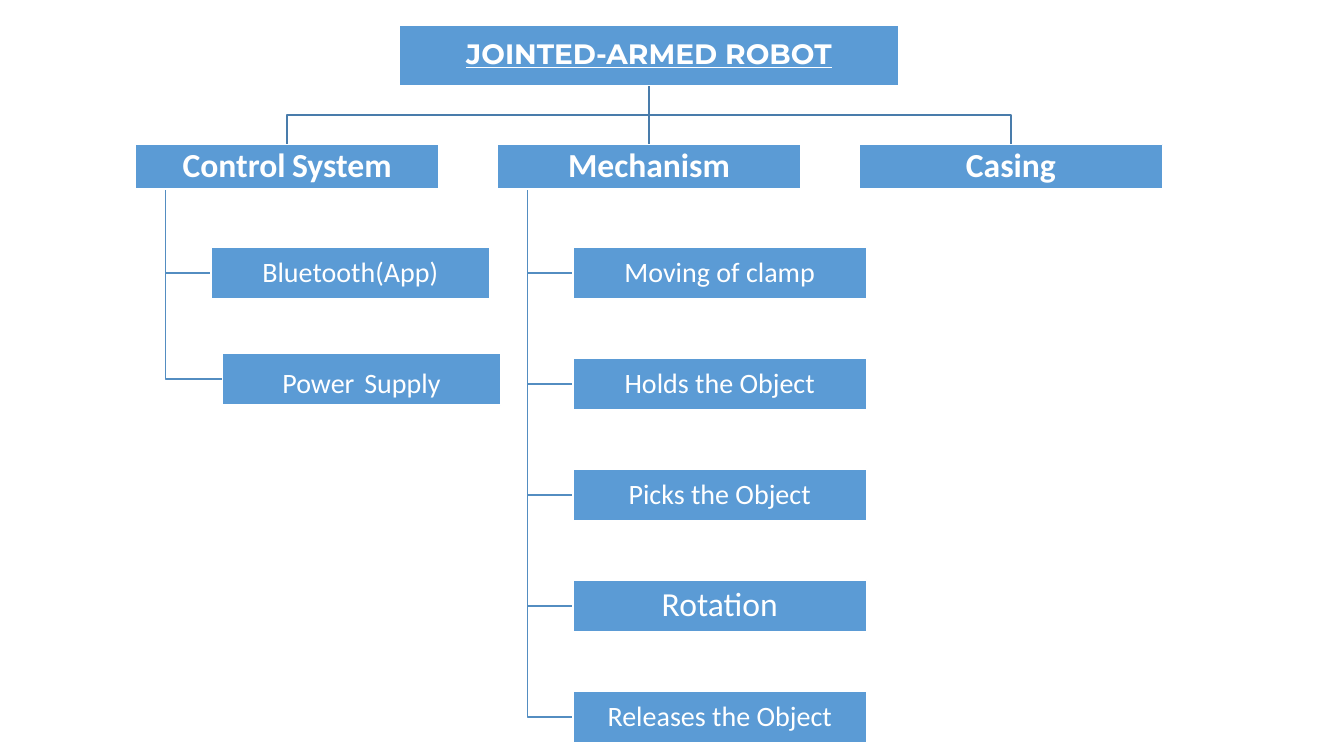
"""Build the jointed-armed robot hierarchy slide."""
from lxml.etree import SubElement
from pptx import Presentation
from pptx.dml.color import RGBColor
from pptx.enum.shapes import MSO_CONNECTOR, MSO_SHAPE
from pptx.enum.text import MSO_ANCHOR, PP_ALIGN
from pptx.oxml.ns import qn
from pptx.util import Pt

theme = {
    "fill": RGBColor.from_string("5B9BD5"),
    "white": RGBColor.from_string("FFFFFF"),
    "trunk": RGBColor.from_string("497CAB"),
    "twig": RGBColor.from_string("538DC1"),
    "small": 20, "large": 24, "gap": 31,
    "body": "Calibri", "title": "Montserrat",
}
small, large = theme["small"], theme["large"]
frame_set = {
    "word_wrap": True, "vertical_anchor": MSO_ANCHOR.MIDDLE,
    "margin_left": Pt(1), "margin_right": Pt(1),
    "margin_top": Pt(1), "margin_bottom": Pt(1),
}
para_set = {"alignment": PP_ALIGN.CENTER, "line_spacing": 0.9}
title_set = {"name": theme["title"], "bold": True, "underline": True}
head_set = {"name": theme["body"], "bold": True}
leaf_set = {"name": theme["body"], "bold": False}

deck = Presentation()
deck.slide_width, deck.slide_height = Pt(960), Pt(540)
slide = deck.slides.add_slide(deck.slide_layouts[6])
shapes = slide.shapes


def add_link(points, color):
    (left, top), *rest = [(Pt(x), Pt(y)) for x, y in points]
    if len(rest) == 1:
        line = shapes.add_connector(MSO_CONNECTOR.STRAIGHT, left, top, *rest[0])
        SubElement(line._element.spPr, qn("a:effectLst"))
    else:
        path = shapes.build_freeform(left, top)
        path.add_line_segments(rest, close=False)
        line = path.convert_to_shape()
        line.fill.background()
        line.shadow.inherit = False
    line.line.color.rgb = color
    line.line.width = Pt(1)


def add_box(area, runs, font_set):
    box = shapes.add_shape(MSO_SHAPE.RECTANGLE, *map(Pt, area))
    box.shadow.inherit = False
    box.fill.solid()
    box.fill.fore_color.rgb = theme["fill"]
    box.line.color.rgb = theme["white"]
    box.line.width = Pt(1)
    frame = box.text_frame
    para = frame.paragraphs[0]
    jobs = [(frame, frame_set), (para, para_set)]
    for text, size in runs:
        run = para.add_run()
        run.text = text
        run.font.color.rgb = theme["white"]
        jobs.append((run.font, {**font_set, "size": Pt(size)}))
    for item, values in jobs:
        for key, value in values.items():
            setattr(item, key, value)


mid, base = 463.6, 61.2
head_top, head_wide, head_high = 103, 217, 32
pitch, leaf_high = 258.5, 37.2
leaf_top, leaf_step = 176.4, 79.3

branches = [
    ([("Control", large), (" ", small), ("System", large)], 198.7, [
        ([("Bluetooth(App)", small)], 0, 0),
        ([("Power", small), (" ", theme["gap"]), ("Supply", small)], 8, -3.5)]),
    ([("Mechanism", large)], 209.5, [
        ([("Moving of clamp", small)], 0, 0),
        ([("Holds the Object", small)], 0, 0),
        ([("Picks the Object", small)], 0, 0),
        ([("Rotation", large)], 0, 0),
        ([("Releases the Object", small)], 0, 0)]),
    ([("Casing", large)], 0, []),
]

boxes = [((mid - 178.5, 18, 357, 43.2), [("JOINTED-ARMED ROBOT", small)], title_set)]
for col, (head, wide, leaves) in enumerate(branches):
    center = mid + (col - 1) * pitch
    left = center - head_wide / 2
    stem = left + head_wide / 10
    bend = (base + head_top) / 2
    turns = [] if center == mid else [(mid, bend), (center, bend)]
    add_link([(mid, base), *turns, (center, head_top)], theme["trunk"])
    boxes.append(((left, head_top, head_wide, head_high), head, head_set))
    for row, (runs, right, down) in enumerate(leaves):
        edge = left + head_wide / 4 + right
        top = leaf_top + row * leaf_step + down
        level = top + leaf_high / 2
        add_link([(stem, head_top + head_high), (stem, level), (edge, level)],
                 theme["twig"])
        boxes.append(((edge, top, wide, leaf_high), runs, leaf_set))

for area, runs, font_set in boxes:
    add_box(area, runs, font_set)

deck.save("out.pptx")
